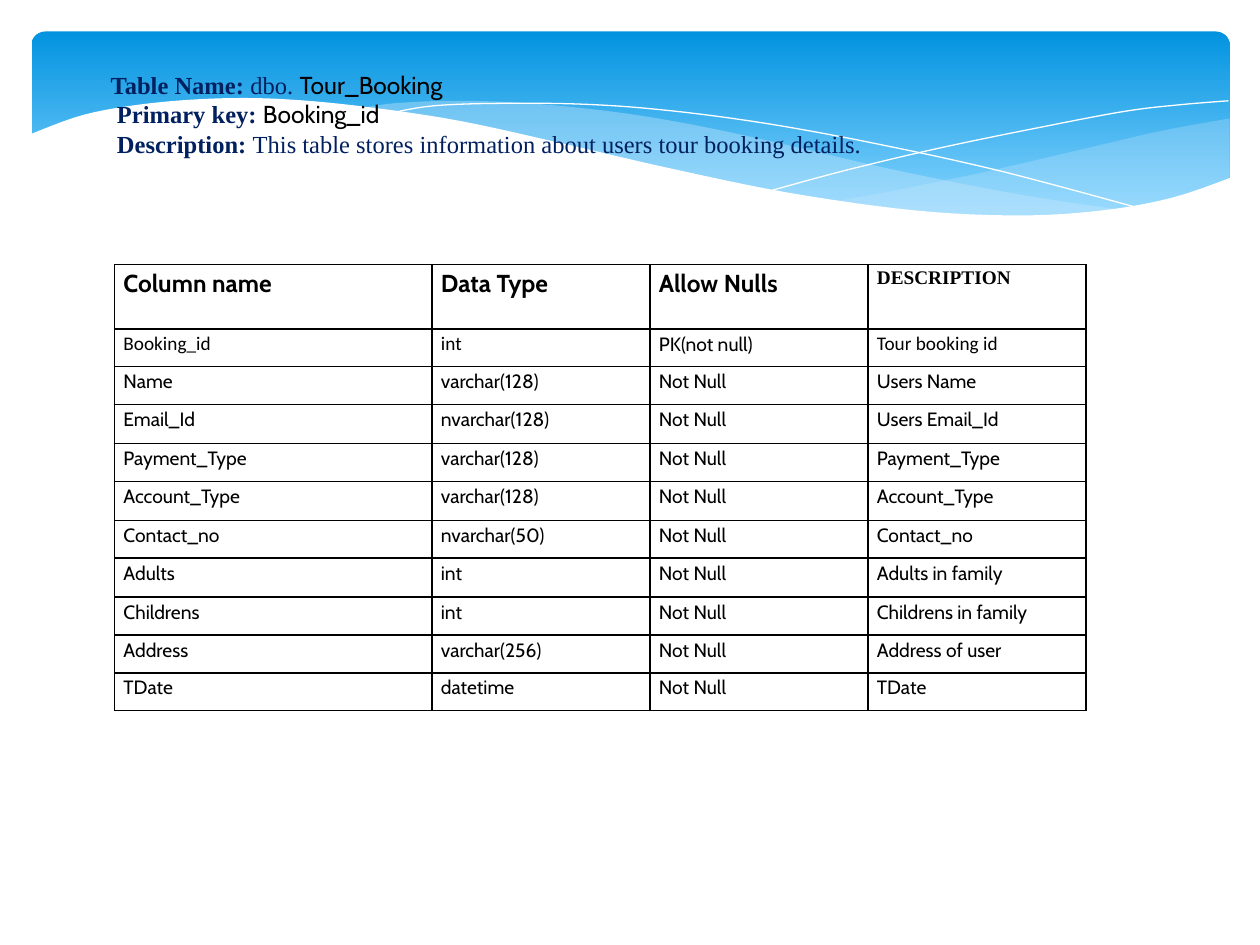
from pptx import Presentation
from pptx.dml.color import RGBColor
from pptx.enum.shapes import MSO_SHAPE
from pptx.enum.text import MSO_ANCHOR
from pptx.oxml import parse_xml
from pptx.oxml.ns import nsdecls
from pptx.util import Inches, Pt
from lxml.etree import SubElement

THEME = {
    "white": RGBColor.from_string("FFFFFF"),
    "black": RGBColor.from_string("000000"),
    "navy": RGBColor.from_string("002060"),
    "deep": RGBColor.from_string("0293E0"),
    "sky": RGBColor.from_string("83D3FE"),
    "mist": RGBColor.from_string("C6E7FC"),
    "big": Pt(14),
    "small": Pt(11),
}


def curve(knots, steps=6):
    """Points of a Catmull-Rom curve through the knots."""
    ends = [knots[0], *knots, knots[-1]]
    points = [knots[0]]
    for a, b, c, d in zip(ends, ends[1:], ends[2:], ends[3:]):
        for step in range(1, steps + 1):
            t = step / steps
            points.append(tuple(
                (2 * q + (r - p) * t + (2 * p - 5 * q + 4 * r - s) * t ** 2
                 + (3 * q - p - 3 * r + s) * t ** 3) / 2
                for p, q, r, s in zip(a, b, c, d)))
    return points


def write(para, text, color, **form):
    run = para.add_run()
    run.text = text
    run.font.color.rgb = THEME[color]
    for key, value in form.items():
        setattr(run.font, key, value)


deck = Presentation()
deck.slide_width, deck.slide_height = Inches(10), Inches(7.5)
slide = deck.slides.add_slide(deck.slide_layouts[6])
shapes = slide.shapes

# Blue banner
banner = shapes.add_shape(MSO_SHAPE.ROUNDED_RECTANGLE, Inches(0.25),
                          Inches(0.25), Inches(9.51), Inches(1.56))
banner.adjustments[0] = 0.07
banner.shadow.inherit = False
banner.line.fill.background()
banner.fill.gradient()
banner.fill.gradient_angle = 270
for stop, place, color in zip(banner.fill.gradient_stops, (0, 0.9),
                              ("deep", "sky")):
    stop.position = place
    stop.color.rgb = THEME[color]

# Waves: points, fill colour (None for a white line), opacity in percent
lens = curve([(9.76, 0.94), (9.21, 1.04), (8.61, 1.18), (7.79, 1.37),
              (7.06, 1.52), (6.61, 1.6)])
lens += curve([(6.61, 1.6), (7.19, 1.67), (7.81, 1.72), (8.35, 1.72),
               (8.89, 1.66), (9.35, 1.56), (9.76, 1.41)])
band = curve([(8.93, 1.67), (8.07, 1.54), (7.06, 1.34), (6.29, 1.16),
              (5.55, 1), (4.89, 0.89), (4.2, 0.82), (3.61, 0.8),
              (3.13, 0.82), (2.86, 0.86)])
band += curve([(2.86, 0.86), (3.42, 0.94), (4.04, 1.06), (4.91, 1.26),
               (5.66, 1.43), (6.5, 1.58), (7.22, 1.68), (7.85, 1.72),
               (8.38, 1.72), (8.93, 1.67)])
fall = curve([(3.09, 0.9), (3.44, 0.84), (4.01, 0.82), (4.69, 0.83),
              (5.33, 0.88), (6.08, 0.98), (6.95, 1.14), (7.95, 1.36),
              (9.07, 1.66)])
rise = curve([(6.13, 1.51), (6.72, 1.35), (7.48, 1.17), (8.36, 0.99),
              (8.95, 0.88), (9.38, 0.83), (9.75, 0.8)])
crest = curve([(9.77, 1.41), (9.3, 1.57), (8.75, 1.67), (8.09, 1.71),
               (7.26, 1.67), (6.26, 1.53), (5.29, 1.33), (4.47, 1.14),
               (3.65, 0.96), (2.92, 0.85), (2.3, 0.79), (1.77, 0.78),
               (1.19, 0.82), (0.67, 0.91), (0.23, 1.07)])
crest += [(0.23, 2.24), (9.77, 2.24)]

for points, color, alpha in [(lens, "mist", 29), (band, "mist", 40),
                             (fall, None, 100), (rise, None, 100),
                             (crest, "white", 100)]:
    spots = [(Inches(x), Inches(y)) for x, y in points]
    maker = shapes.build_freeform(*spots[0])
    maker.add_line_segments(spots[1:], close=color is not None)
    wave = maker.convert_to_shape()
    wave.shadow.inherit = False
    if color is None:
        wave.fill.background()
        wave.line.color.rgb = THEME["white"]
        wave.line.width = Pt(0)
        continue
    wave.line.fill.background()
    wave.fill.solid()
    wave.fill.fore_color.rgb = THEME[color]
    if alpha < 100:
        tone = wave.fill._xPr.find(".//{*}srgbClr")
        SubElement(tone, tone.tag.replace("srgbClr", "alpha"),
                   val=str(alpha * 1000))

# Column table
rows = [
    ("Column name", "Data Type", "Allow Nulls", "DESCRIPTION"),
    ("Booking_id", "int", "PK(not null)", "Tour booking id"),
    ("Name", "varchar(128)", "Not Null", "Users Name"),
    ("Email_Id", "nvarchar(128)", "Not Null", "Users Email_Id"),
    ("Payment_Type", "varchar(128)", "Not Null", "Payment_Type"),
    ("Account_Type", "varchar(128)", "Not Null", "Account_Type"),
    ("Contact_no", "nvarchar(50)", "Not Null", "Contact_no"),
    ("Adults", "int", "Not Null", "Adults in family"),
    ("Childrens", "int", "Not Null", "Childrens in family"),
    ("Address", "varchar(256)", "Not Null", "Address of user"),
    ("TDate", "datetime", "Not Null", "TDate"),
]
highs = [0.51, 0.3, 0.3, 0.31, 0.3, 0.31, 0.3, 0.31, 0.3, 0.3, 0.3]
wides = [2.52, 1.73, 1.73, 1.73]
table = shapes.add_table(len(rows), len(wides), Inches(0.91), Inches(2.1),
                         Inches(sum(wides)), Inches(sum(highs))).table
table.first_row = table.horz_banding = False
for col, wide in zip(table.columns, wides):
    col.width = Inches(wide)
for row, high in zip(table.rows, highs):
    row.height = Inches(high)

inset = {"margin_left": Inches(0.07), "margin_right": Inches(0.07),
         "margin_top": 0, "margin_bottom": 0}
for i, row in enumerate(rows):
    for j, text in enumerate(row):
        cell = table.cell(i, j)
        for key, value in inset.items():
            setattr(cell, key, value)
        form = {"name": "Cabin", "bold": i == 0,
                "size": THEME["small" if i else "big"]}
        if (i, j) == (0, 3):
            form.update(name="Times New Roman", size=THEME["small"])
        elif i == 1 and j != 2:
            form["name"] = "Calibri"
        para = cell.text_frame.paragraphs[0]
        para.line_spacing = 1.15
        write(para, text, "black", **form)
        # Borders come before the fill in the cell properties
        props = cell._tc.get_or_add_tcPr()
        for side in "LRTB":
            props.append(parse_xml(
                f'<a:ln{side} w="{Pt(1)}" {nsdecls("a")}><a:solidFill>'
                f'<a:srgbClr val="{THEME["black"]}"/></a:solidFill>'
                f'</a:ln{side}>'))
        cell.fill.background()

# Heading: label, then value runs
serif = {"name": "Times New Roman", "size": THEME["big"]}
sans = {"name": "Cabin", "size": THEME["big"]}
lines = [
    ("Table Name: ", [("dbo. ", "navy", serif),
                      ("Tour_Booking", "black", sans)]),
    ("Primary key: ", [("Booking_id", "black", sans)]),
    ("Description: ", [("This table stores information about users tour "
                        "booking details.", "navy", serif)]),
]
box = shapes.add_textbox(Inches(0.53), Inches(0.5), Inches(8.25), Inches(0.81))
frame = box.text_frame
frame.word_wrap = True
frame.vertical_anchor = MSO_ANCHOR.MIDDLE
for i, (label, parts) in enumerate(lines):
    para = frame.add_paragraph() if i else frame.paragraphs[0]
    props = para._p.get_or_add_pPr()
    props.set("marL", "0")
    props.set("indent", str(Inches(0.3 if i else 0.25)))
    write(para, label, "navy", bold=True, **serif)
    for text, color, form in parts:
        write(para, text, color, bold=False, **form)

deck.save("out.pptx")
